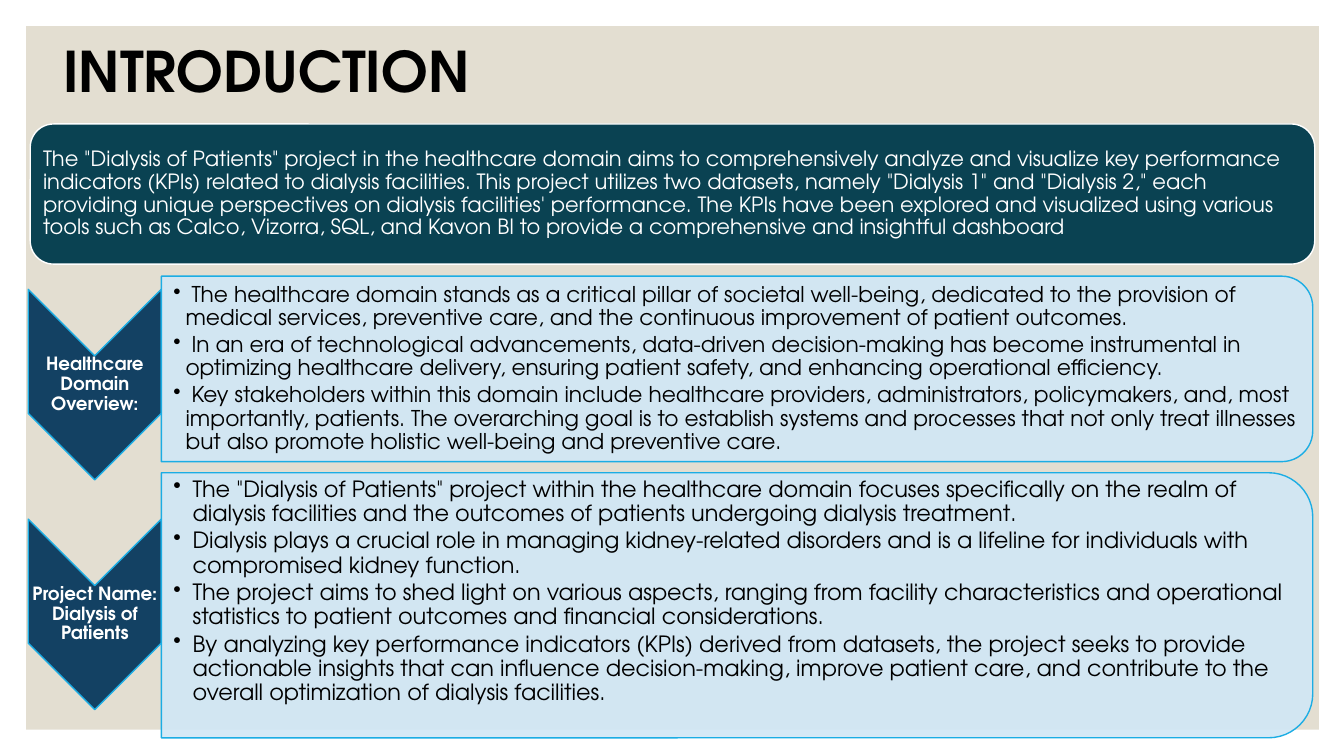
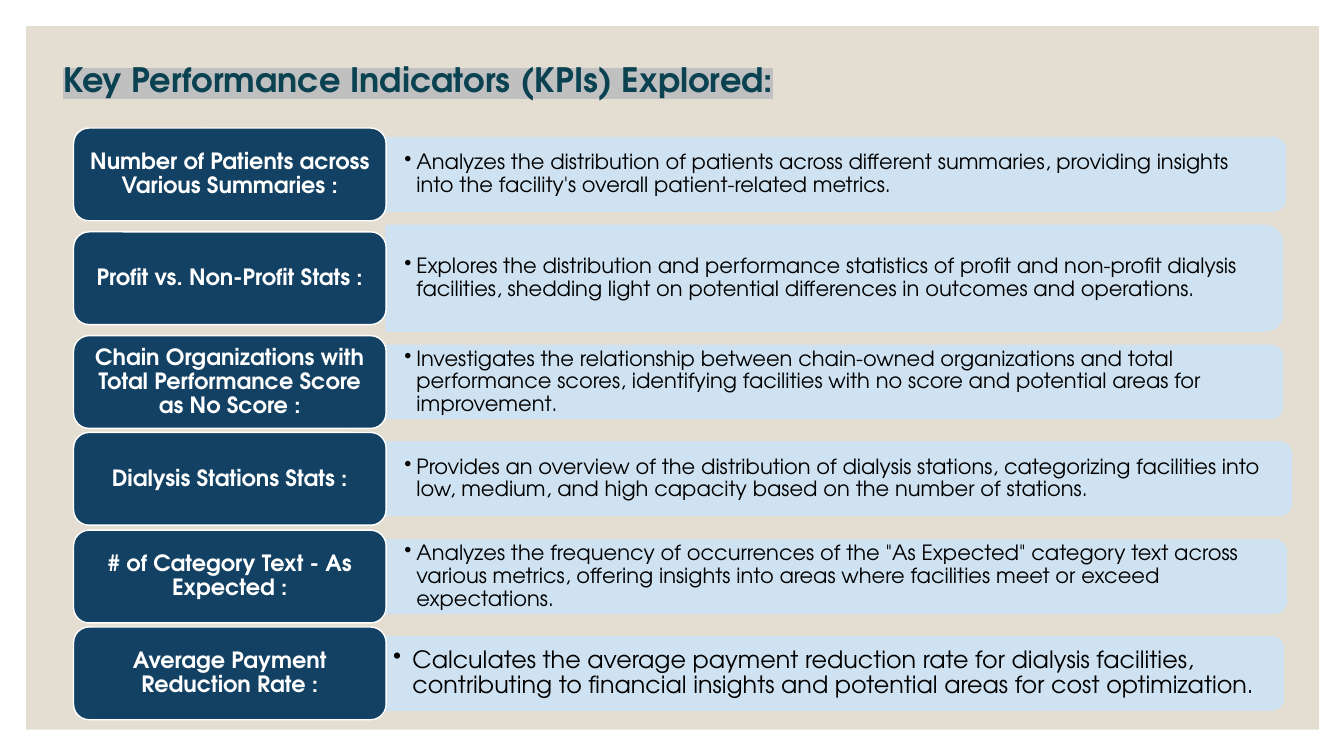
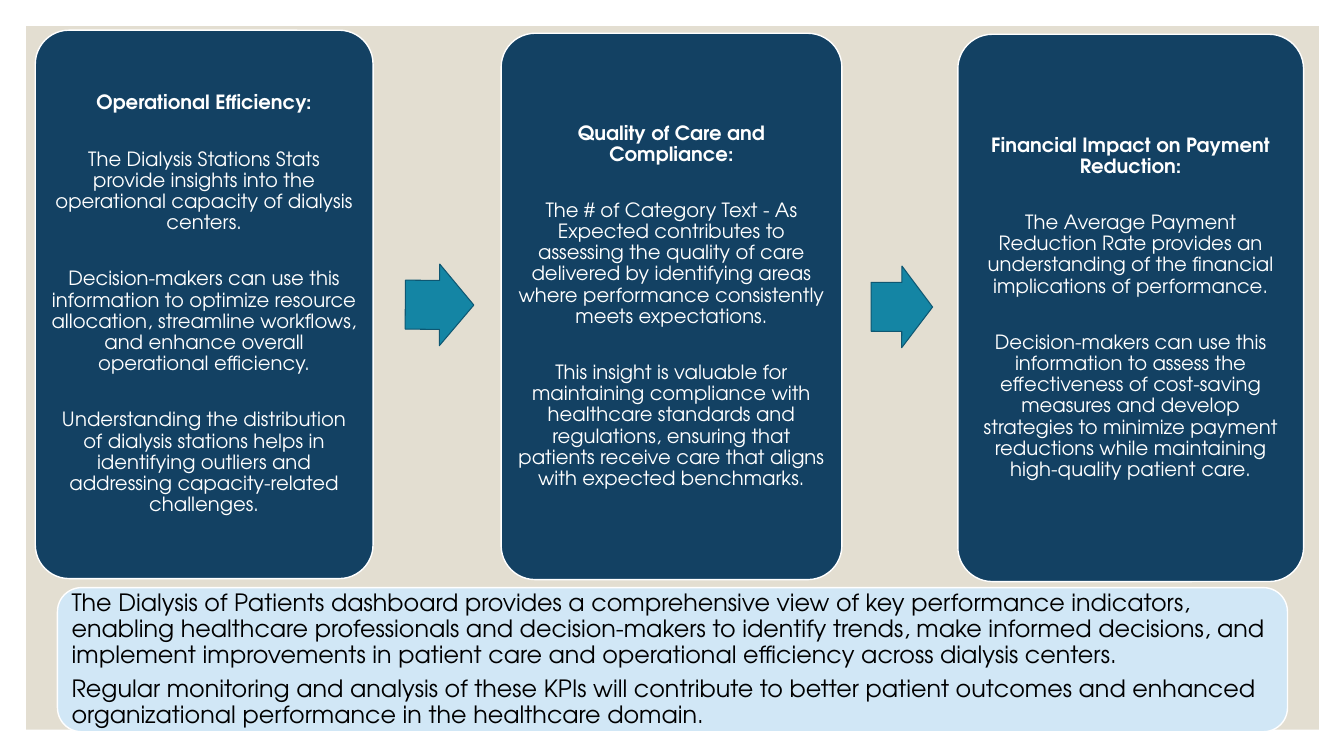
from dataclasses import dataclass, replace

from lxml import etree
from pptx import Presentation
from pptx import util as u
from pptx.dml.color import RGBColor
from pptx.enum import shapes, text
from pptx.oxml.ns import qn

PX = 9144  # EMU in one px: 100 px to the inch
CORNER = 0.16667  # corner radius as a share of the shorter side
CORNER_INSET = 0.29289  # share of the radius that text keeps clear of


@dataclass(frozen=True)
class TextStyle:
    size: float
    color: str
    bold: bool = False
    align: text.PP_ALIGN = text.PP_ALIGN.LEFT
    gap: float = 0
    hang: int = 0
    line_spacing: float = 0.9


class Theme:
    font = "TeX Gyre Adventor"
    sand = "E3DED1"
    navy = "134163"
    teal = "0A4252"
    arrow = "1485A4"
    arrow_edge = "0E5772"
    sky = "1CADE4"
    pale = "D1E7F6"
    mist = "CDE3F5"
    white = "FFFFFF"
    black = "000000"
    marker = "C0C0C0"
    panel_alpha = 90

    title = TextStyle(40, black, bold=True)
    subtitle = TextStyle(24, teal, bold=True, line_spacing=1)
    intro = TextStyle(15, white)
    chevron = TextStyle(13, white, True, text.PP_ALIGN.CENTER)
    overview = TextStyle(15.5, black, gap=2.3, hang=12)
    project = TextStyle(16, black, gap=2.4, hang=19)
    label = TextStyle(16, white, True, text.PP_ALIGN.CENTER)
    detail = TextStyle(15, black, hang=12)
    large_detail = TextStyle(17, black, hang=19)
    card = TextStyle(14, white, align=text.PP_ALIGN.CENTER, gap=25)
    card_heading = replace(card, bold=True)
    summary = TextStyle(17, black, gap=6)


MIDDLE = text.MSO_ANCHOR.MIDDLE
SHAPE = shapes.MSO_SHAPE


def px(*lengths):
    return [u.Emu(round(length * PX)) for length in lengths]


def rgb(color):
    return RGBColor.from_string(color)


def set_alpha(fill, percent):
    color = fill._xPr.find(qn("a:solidFill"))[0]
    etree.SubElement(color, qn("a:alpha"), val=str(percent * 1000))


def add_shape(slide, kind, box, fill, line=None, line_width=1, turn=0):
    shape = slide.shapes.add_shape(kind, *px(*box))
    shape.shadow.inherit = False
    shape.fill.solid()
    shape.fill.fore_color.rgb = rgb(fill)
    if line:
        shape.line.color.rgb = rgb(line)
        shape.line.width = u.Pt(line_width)
    else:
        shape.line.fill.background()
    shape.rotation = turn
    return shape


def upright(box):
    """Box which fills the given box once it is turned by 90 degrees."""
    left, top, width, height = box
    return (left + (width - height) / 2, top + (height - width) / 2, height, width)


def write(shape, entries, insets, anchor=MIDDLE):
    """Fill a shape with (style, text) paragraphs; insets are left, top, right, bottom."""
    frame = shape.text_frame
    frame.word_wrap = True
    frame.vertical_anchor = anchor
    (frame.margin_left, frame.margin_top,
     frame.margin_right, frame.margin_bottom) = px(*insets)
    for index, (style, words) in enumerate(entries):
        paragraph = frame.add_paragraph() if index else frame.paragraphs[0]
        paragraph.alignment = style.align
        paragraph.line_spacing = style.line_spacing
        paragraph.space_after = u.Pt(style.gap)
        if style.hang:
            indent, = px(style.hang)
            properties = paragraph._p.get_or_add_pPr()
            properties.set("marL", str(indent))
            properties.set("indent", str(-indent))
            etree.SubElement(properties, qn("a:buChar"), char="•")
        run = paragraph.add_run()
        run.text = words
        run.font.name = Theme.font
        run.font.size = u.Pt(style.size)
        run.font.bold = style.bold
        run.font.color.rgb = rgb(style.color)
    return frame


def add_text(slide, box, entries, insets, anchor=MIDDLE):
    return write(slide.shapes.add_textbox(*px(*box)), entries, insets, anchor)


def add_slide(presentation):
    slide = presentation.slides.add_slide(presentation.slide_layouts[6])
    add_shape(slide, SHAPE.RECTANGLE, (26, 26, 1282, 698), Theme.sand)
    return slide


def add_title(slide, box, style, words, anchor=MIDDLE):
    return add_text(slide, box, [(style, words)], (10, 5, 10, 5), anchor)


def highlight(run, color):
    mark = etree.Element(qn("a:highlight"))
    etree.SubElement(mark, qn("a:srgbClr"), val=color)
    run._r.rPr.find(qn("a:solidFill")).addnext(mark)


def add_rounded(slide, box, fill, entries, inset_x, inset_y, corner=CORNER):
    shape = add_shape(slide, SHAPE.ROUNDED_RECTANGLE, box, fill, Theme.white)
    shape.adjustments[0] = corner
    write(shape, entries, (inset_x, inset_y, inset_x, inset_y))


def add_panel(slide, box, fill, line, style, points, insets, line_alpha=100):
    """Bulleted panel with round corners on its right side."""
    left, top, width, height = box
    panel = add_shape(slide, SHAPE.ROUND_2_SAME_RECTANGLE, upright(box), fill, line, turn=90)
    set_alpha(panel.fill, Theme.panel_alpha)
    set_alpha(panel.line.fill, line_alpha)
    clear = height * CORNER * CORNER_INSET
    add_text(slide, (left, top + clear, width - clear, height - 2 * clear),
             [(style, point) for point in points], insets)


def add_chevron(slide, box, words):
    left, top, width, height = box
    add_shape(slide, SHAPE.CHEVRON, upright(box), Theme.navy, Theme.sky, turn=90)
    add_text(slide, (left, top + width / 2, width, height - width),
             [(Theme.chevron, words)], (1, 1, 1, 1))


def add_topic(slide, top, panel_top, panel_height, heading, style, points, bottom_inset):
    add_chevron(slide, (28, top, 132, 189), heading)
    add_panel(slide, (160, panel_top, 1142, panel_height), Theme.pale, Theme.sky,
              style, points, (12, 1, 1, bottom_inset))


def add_indicator(slide, top, label, detail, panel_width, panel_height=73,
                  style=Theme.detail, insets=(18, 9, 18, 9)):
    left, width, height = 73, 310, 92
    add_panel(slide, (left + width, top + (height - panel_height) / 2, panel_width, panel_height),
              Theme.mist, Theme.mist, style, [detail], insets, Theme.panel_alpha)
    add_rounded(slide, (left, top, width, height), Theme.navy, [(Theme.label, label)], 7, 3)


def add_card(slide, box, heading, *body):
    entries = [(Theme.card_heading, heading)] + [(Theme.card, words) for words in body]
    add_rounded(slide, box, Theme.navy, entries, 6, 6, corner=0.1)


def add_arrow(slide, box, turn):
    arrow = add_shape(slide, SHAPE.RIGHT_ARROW, box, Theme.arrow, Theme.arrow_edge, 0.75, turn)
    arrow.adjustments[0] = 0.6
    arrow.adjustments[1] = 0.5


def introduction_slide(presentation):
    slide = add_slide(presentation)
    add_title(slide, (53, 36, 459, 76), Theme.title, "INTRODUCTION")
    add_topic(slide, 287, 274, 184, "Healthcare Domain Overview:", Theme.overview, [
        " The healthcare domain stands as a critical pillar of societal well-being, dedicated to "
        "the provision of medical services, preventive care, and the continuous improvement of "
        "patient outcomes.",
        " In an era of technological advancements, data-driven decision-making has become "
        "instrumental in optimizing healthcare delivery, ensuring patient safety, and enhancing "
        "operational efficiency.",
        " Key stakeholders within this domain include healthcare providers, administrators, "
        "policymakers, and, most importantly, patients. The overarching goal is to establish "
        "systems and processes that not only treat illnesses but also promote holistic "
        "well-being and preventive care.",
    ], bottom_inset=1)
    add_topic(slide, 515, 469, 263, "Project Name: Dialysis of Patients", Theme.project, [
        'The "Dialysis of Patients" project within the healthcare domain focuses specifically on '
        "the realm of dialysis facilities and the outcomes of patients undergoing dialysis "
        "treatment.",
        "Dialysis plays a crucial role in managing kidney-related disorders and is a lifeline "
        "for individuals with compromised kidney function.",
        "The project aims to shed light on various aspects, ranging from facility "
        "characteristics and operational statistics to patient outcomes and financial "
        "considerations.",
        "By analyzing key performance indicators (KPIs) derived from datasets, the project seeks "
        "to provide actionable insights that can influence decision-making, improve patient "
        "care, and contribute to the overall optimization of dialysis facilities.",
    ], bottom_inset=28)
    add_rounded(slide, (30, 123, 1274, 139), Theme.teal, [(
        Theme.intro,
        'The "Dialysis of Patients" project in the healthcare domain aims to comprehensively '
        "analyze and visualize key performance indicators (KPIs) related to dialysis facilities. "
        'This project utilizes two datasets, namely "Dialysis 1" and "Dialysis 2," each '
        "providing unique perspectives on dialysis facilities' performance. The KPIs have been "
        "explored and visualized using various tools such as Calco, Vizorra, SQL, and Kavon BI "
        "to provide a comprehensive and insightful dashboard")], 6, 6)


def indicators_slide(presentation):
    slide = add_slide(presentation)
    add_indicator(
        slide, 127, "Number of Patients across Various Summaries :",
        "Analyzes the distribution of patients across different summaries, providing insights "
        "into the facility's overall patient-related metrics.", 892)
    add_indicator(
        slide, 230, "Profit vs. Non-Profit Stats :",
        "Explores the distribution and performance statistics of profit and non-profit dialysis "
        "facilities, shedding light on potential differences in outcomes and operations.",
        889, panel_height=105)
    add_indicator(
        slide, 333, "Chain Organizations with Total Performance Score as No Score :",
        "Investigates the relationship between chain-owned organizations and total performance "
        "scores, identifying facilities with no score and potential areas for improvement.", 889)
    add_indicator(
        slide, 429, "Dialysis Stations Stats :",
        "Provides an overview of the distribution of dialysis stations, categorizing facilities "
        "into low, medium, and high capacity based on the number of stations.", 898)
    add_indicator(
        slide, 526, "# of Category Text - As Expected :",
        'Analyzes the frequency of occurrences of the "As Expected" category text across various '
        "metrics, offering insights into areas where facilities meet or exceed expectations.", 893)
    add_indicator(
        slide, 622, "Average Payment Reduction Rate :",
        "Calculates the average payment reduction rate for dialysis facilities, contributing to "
        "financial insights and potential areas for cost optimization.",
        890, style=Theme.large_detail, insets=(7, 4, 7, 4))
    title = add_title(slide, (53, 54, 798, 50), Theme.subtitle,
                      "Key Performance Indicators (KPIs) Explored:", text.MSO_ANCHOR.TOP)
    highlight(title.paragraphs[0].runs[0], Theme.marker)


def impact_slide(presentation):
    slide = add_slide(presentation)
    add_card(
        slide, (35, 30, 335, 544), "Operational Efficiency:",
        "The Dialysis Stations Stats provide insights into the operational capacity of dialysis "
        "centers.",
        "Decision-makers can use this information to optimize resource allocation, streamline "
        "workflows, and enhance overall operational efficiency.",
        "Understanding the distribution of dialysis stations helps in identifying outliers and "
        "addressing capacity-related challenges.")
    add_arrow(slide, (402, 262, 68, 81), 0.3)
    add_card(
        slide, (497, 33, 338, 542), "Quality of Care and Compliance:",
        "The # of Category Text - As Expected contributes to assessing the quality of care "
        "delivered by identifying areas where performance consistently meets expectations.",
        "This insight is valuable for maintaining compliance with healthcare standards and "
        "regulations, ensuring that patients receive care that aligns with expected benchmarks.")
    add_arrow(slide, (864, 264, 61, 81), 0.2)
    add_card(
        slide, (950, 34, 343, 543), "Financial Impact on Payment Reduction:",
        "The Average Payment Reduction Rate provides an understanding of the financial "
        "implications of performance.",
        "Decision-makers can use this information to assess the effectiveness of cost-saving "
        "measures and develop strategies to minimize payment reductions while maintaining "
        "high-quality patient care.")
    add_rounded(slide, (57, 583, 1220, 143), Theme.pale, [
        (Theme.summary,
         "The Dialysis of Patients dashboard provides a comprehensive view of key performance "
         "indicators, enabling healthcare professionals and decision-makers to identify trends, "
         "make informed decisions, and implement improvements in patient care and operational "
         "efficiency across dialysis centers."),
        (Theme.summary,
         "Regular monitoring and analysis of these KPIs will contribute to better patient "
         "outcomes and enhanced organizational performance in the healthcare domain."),
    ], 7, 7)


def main():
    presentation = Presentation()
    presentation.slide_width, presentation.slide_height = px(1333, 750)
    introduction_slide(presentation)
    indicators_slide(presentation)
    impact_slide(presentation)
    presentation.save("out.pptx")


if __name__ == "__main__":
    main()
